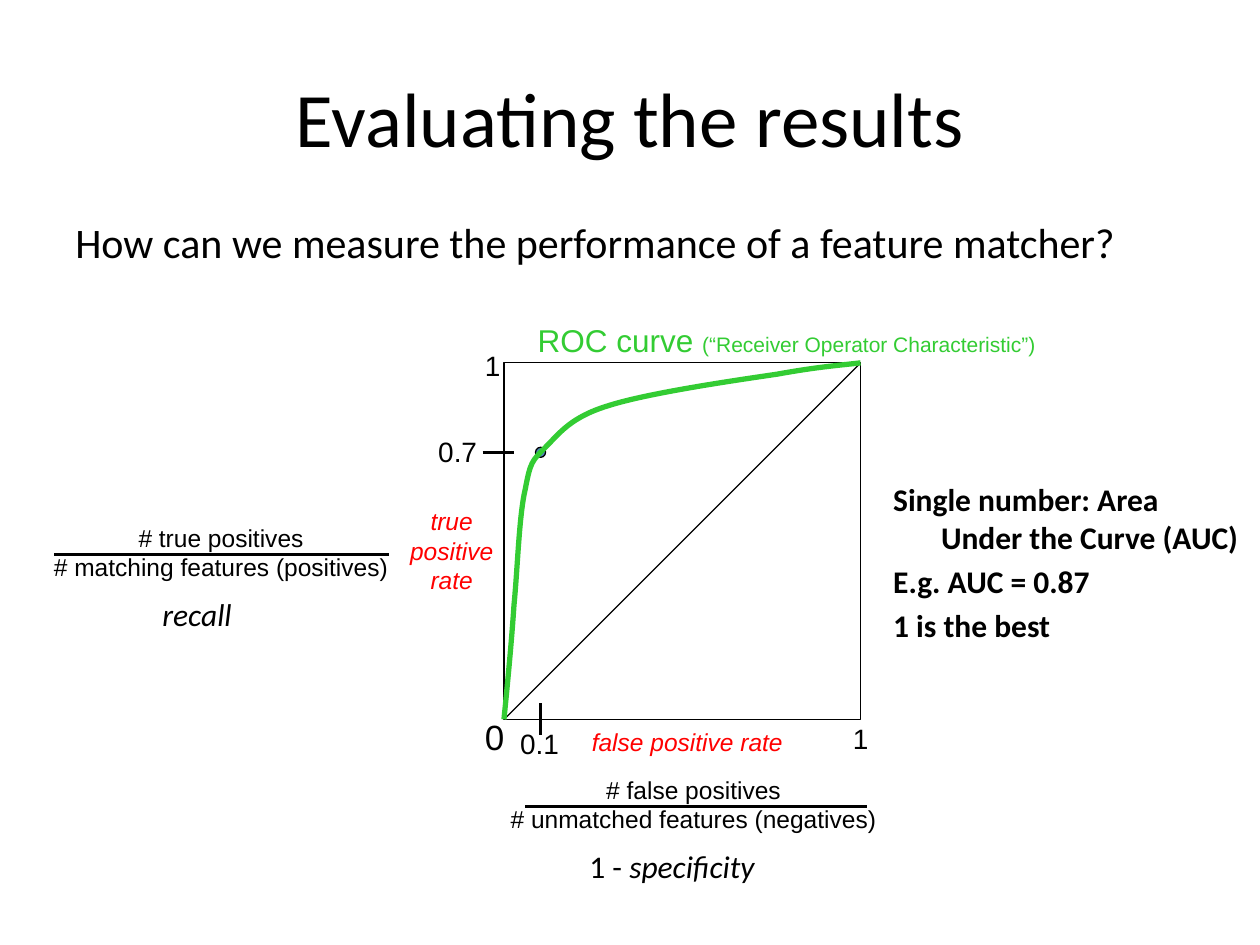
from lxml import etree
from pptx import Presentation
from pptx.dml.color import RGBColor
from pptx.enum.shapes import MSO_CONNECTOR as Connector, MSO_SHAPE as Shape
from pptx.enum.text import MSO_ANCHOR as Anchor, MSO_AUTO_SIZE as AutoSize, PP_ALIGN as Align
from pptx.oxml.ns import qn
from pptx.util import Inches, Pt

BLACK, RED, GREEN, BLUE = "000000", "FF0000", "33CC33", "4F81BD"


def color(hex_value):
    return RGBColor.from_string(hex_value)


class SlideBuilder:
    """Holds the text style and the current slide."""

    style = {"name": "Arial", "size": 16, "color": BLACK, "bold": False, "italic": False}

    def __init__(self, slide):
        self.slide = slide
        self.shapes = slide.shapes

    def format_font(self, font, **changes):
        for key, value in {**self.style, **changes}.items():
            if key == "color":
                font.color.rgb = color(value)
            else:
                setattr(font, key, Pt(value) if key == "size" else value)

    def format_line(self, shape, hex_value, width):
        shape.line.color.rgb = color(hex_value)
        shape.line.width = Pt(width)

    def title(self, text, box):
        title = self.slide.shapes.title
        title.left, title.top, title.width, title.height = map(Inches, box)
        title.text_frame.text = text
        title.text_frame.vertical_anchor = Anchor.MIDDLE
        paragraph = title.text_frame.paragraphs[0]
        paragraph.alignment = Align.CENTER
        self.format_font(paragraph.runs[0].font, name="Calibri", size=44)

    def text(self, paragraphs, box, align=Align.LEFT, wrap=True, grow=True,
             hanging=0, space=0, shapes=None, **font):
        """Each paragraph is a list of (text, font changes) runs or a plain string."""
        frame = (shapes or self.shapes).add_textbox(*map(Inches, box)).text_frame
        frame.word_wrap = wrap
        frame.auto_size = AutoSize.SHAPE_TO_FIT_TEXT if grow else AutoSize.NONE
        for index, runs in enumerate(paragraphs):
            paragraph = frame.add_paragraph() if index else frame.paragraphs[0]
            paragraph.alignment = align
            if hanging:
                properties = paragraph._p.get_or_add_pPr()
                properties.set("marL", str(Inches(hanging)))
                properties.set("indent", str(-Inches(hanging)))
            if index and space:
                paragraph.space_before = Pt(space)
            for content, changes in [(runs, {})] if isinstance(runs, str) else runs:
                for number, line in enumerate(content.split("\n")):
                    if number:
                        paragraph.add_line_break()
                    run = paragraph.add_run()
                    run.text = line
                    self.format_font(run.font, **{**font, **changes})

    def line(self, start, end, width=1.5, shapes=None):
        connector = (shapes or self.shapes).add_connector(
            Connector.STRAIGHT, *map(Inches, start + end))
        self.format_line(connector, BLACK, width)
        etree.SubElement(connector._element.spPr, qn("a:effectLst"))

    def shape(self, kind, box, fill=None):
        shape = self.shapes.add_shape(kind, *map(Inches, box))
        shape.shadow.inherit = False
        if fill:
            shape.fill.solid()
            shape.fill.fore_color.rgb = color(fill)
        else:
            shape.fill.background()
        self.format_line(shape, BLACK, 0.75)

    def curve(self, start, points, hex_value, width):
        """Points come in threes: two control points and an end point."""
        builder = self.shapes.build_freeform(*map(Inches, start))
        builder.add_line_segments([tuple(map(Inches, point)) for point in points], close=False)
        shape = builder.convert_to_shape()
        shape.shadow.inherit = False
        shape.fill.background()
        self.format_line(shape, hex_value, width)
        # Turn each three straight segments into one Bezier segment
        segments = list(shape._element.iter(qn("a:lnTo")))
        outline = segments[0].getparent()
        for first in range(0, len(segments), 3):
            bezier = etree.SubElement(outline, qn("a:cubicBezTo"))
            for segment in segments[first:first + 3]:
                bezier.append(segment[0])
                outline.remove(segment)

    def fraction(self, numerator, denominator, left, top, bar_left, bar_right):
        shapes = self.shapes.add_group_shape().shapes
        self.text([numerator, denominator], (left, top, 3.17, 0.57), Align.CENTER,
                  shapes=shapes, size=14)
        self.line((bar_left, top + 0.3), (bar_right, top + 0.3), shapes=shapes)


def main():
    presentation = Presentation()
    presentation.slide_width, presentation.slide_height = Inches(10), Inches(7.5)
    slide = presentation.slides.add_slide(presentation.slide_layouts[5])
    builder = SlideBuilder(slide)

    # Title and question
    builder.title("Evaluating the results", (0.5, 0.3, 9, 1.25))
    builder.text(["How can we measure the performance of a feature matcher?"],
                 (0.5, 1.67, 9, 0.75), grow=False, hanging=0.38, name="Calibri", size=24)

    # Plot frame and axis values
    left, top, side = 4, 2.88, 2.83
    right, bottom = left + side, top + side
    builder.shape(Shape.RECTANGLE, (left, top, side, side))
    builder.text(["0"], (3.75, 5.63, 0.5, 0.43), size=20)
    for value, box in [("1", (6.67, 5.68, 0.33, 0.37)), ("1", (3.75, 2.72, 0.33, 0.37)),
                       ("0.7", (3.38, 3.4, 0.83, 0.37)), ("0.1", (4.03, 5.72, 0.83, 0.37))]:
        builder.text([value], box)

    # Axis names
    axis_style = {"align": Align.CENTER, "size": 14, "color": RED, "italic": True}
    builder.text(["false positive rate"], (3.58, 5.72, 3.75, 0.33), **axis_style)
    builder.text(["true\npositive\nrate"], (2.92, 3.97, 1.33, 1.04), **axis_style)

    # Operating point with its ticks
    point_x, point_y, dot = 4.29, 3.59, 0.08
    builder.shape(Shape.OVAL, (point_x - dot / 2, point_y - dot / 2, dot, dot), BLUE)
    builder.line((point_x, 5.58), (point_x, 5.83))
    builder.line((3.83, point_y), (4.08, point_y))

    # Chance diagonal and ROC curve
    builder.line((left, bottom), (right, top), 0.75)
    builder.curve((left, bottom), [
        (4.03, 5.41), (4.06, 5.1), (4.08, 4.8),
        (4.11, 4.49), (4.12, 4.09), (4.17, 3.88),
        (4.21, 3.67), (4.22, 3.66), (4.33, 3.55),
        (4.44, 3.44), (4.53, 3.31), (4.83, 3.22),
        (5.14, 3.12), (5.83, 3.02), (6.17, 2.97),
        (6.5, 2.91), (6.67, 2.9), (right, top)], GREEN, 3)
    builder.text([[("ROC curve ", {}), ("(“Receiver Operator Characteristic”)", {"size": 12})]],
                 (3.08, 2.5, 6.33, 0.5), Align.CENTER, size=18, color=GREEN)

    # Rate definitions and their other names
    builder.fraction("# true positives", "# matching features (positives)", 0.17, 4.1, 0.43, 3.09)
    builder.fraction("# false positives", "# unmatched features (negatives)", 3.92, 6.1, 4.17, 6.88)
    note_style = {"name": "Calibri", "size": 18}
    builder.text(["recall"], (1.19, 4.67, 0.75, 0.4), wrap=False, italic=True, **note_style)
    builder.text([[("1 - ", {}), ("specificity", {"italic": True})]],
                 (4.58, 6.67, 1.54, 0.4), wrap=False, **note_style)

    # Area under the curve
    builder.text(["Single number: Area Under the Curve (AUC)", "E.g. AUC = 0.87", "1 is the best"],
                 (6.99, 3.76, 2.95, 2.67), grow=False, hanging=0.38, space=3.6,
                 bold=True, **note_style)

    presentation.save("out.pptx")


if __name__ == "__main__":
    main()
